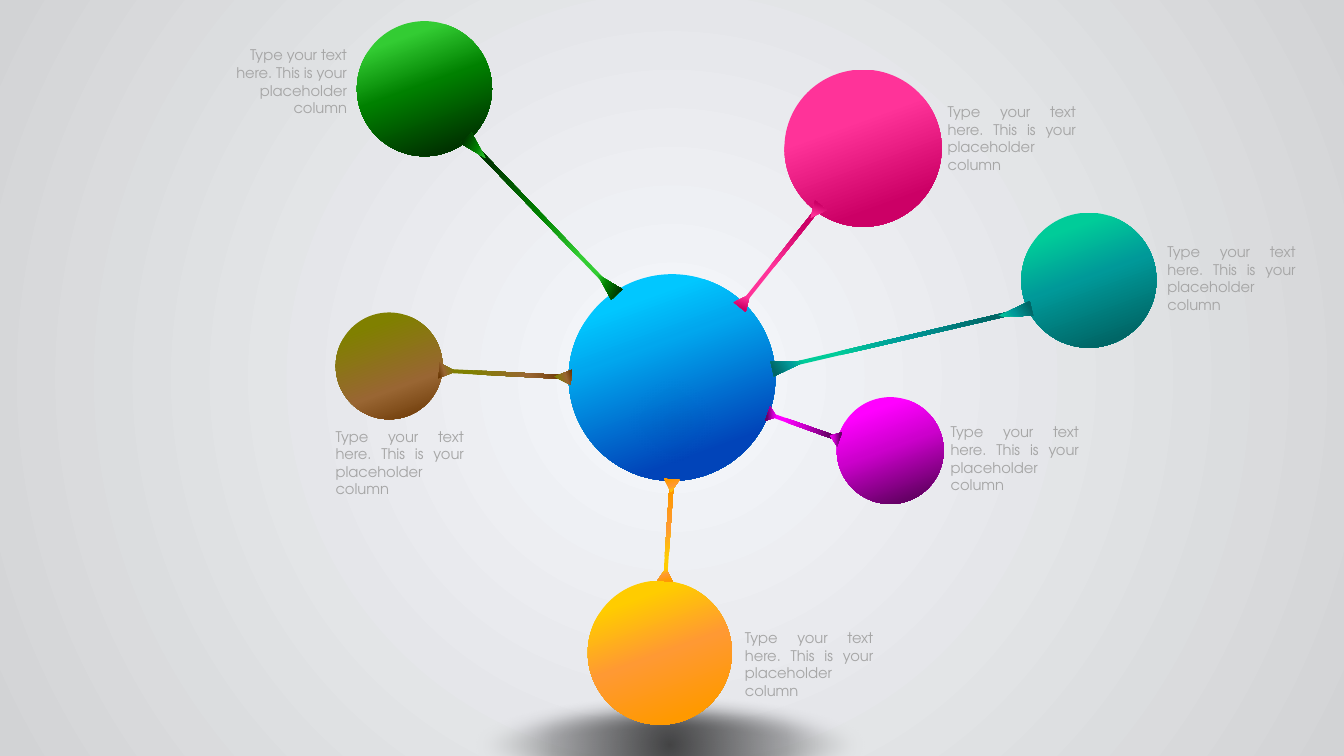
import math
import pptx
import pptx.util
import pptx.oxml
import pptx.oxml.ns
import pptx.dml.color
import pptx.enum.shapes
import pptx.enum.text
import lxml.etree

Inches = pptx.util.Inches
RGB = pptx.dml.color.RGBColor
SHAPE = pptx.enum.shapes.MSO_SHAPE
ALIGN = pptx.enum.text.PP_ALIGN
qn = pptx.oxml.ns.qn

BLACK, WHITE = RGB(0, 0, 0), RGB(255, 255, 255)
CAPTION_GREY = RGB(0xA6, 0xA6, 0xA6)
FONT = "TeX Gyre Adventor"
CAPTION = "Type your text here. This is your placeholder column"

# Gradient stops: position %, colour, opacity %
BACKDROP = [(0, RGB(0xF6, 0xF8, 0xFC), 100), (100, RGB(0xD2, 0xD3, 0xD5), 100)]
DEEP_SHADE = [(0, BLACK, 71), (52, BLACK, 29), (100, WHITE, 0)]
SOFT_SHADE = [(0, BLACK, 43), (52, BLACK, 16), (100, WHITE, 0)]
BLUE = [(18, RGB(0x01, 0xC7, 0xFF), 100), (36, RGB(0x01, 0xA7, 0xEE), 100),
        (81, RGB(0x01, 0x44, 0xB9), 100)]
PINK = [(18, RGB(0xFF, 0x33, 0x99), 100), (36, RGB(0xFF, 0x33, 0x99), 100),
        (81, RGB(0xCC, 0x00, 0x66), 100)]
TEAL = [(18, RGB(0x00, 0xCC, 0x99), 100), (48, RGB(0x00, 0x99, 0x99), 100),
        (88, RGB(0x00, 0x66, 0x66), 100)]
ORANGE = [(18, RGB(0xFF, 0xCC, 0x00), 100), (51, RGB(0xFF, 0x99, 0x33), 100),
          (87, RGB(0xFF, 0x99, 0x00), 100)]
GREEN = [(18, RGB(0x33, 0xCC, 0x33), 100), (48, RGB(0x00, 0x80, 0x00), 100),
         (88, RGB(0x00, 0x33, 0x00), 100)]
MAGENTA = [(18, RGB(0xFF, 0x00, 0xFF), 100), (48, RGB(0xCC, 0x00, 0xCC), 100),
           (88, RGB(0x66, 0x00, 0x66), 100)]
BROWN = [(18, RGB(0x80, 0x80, 0x00), 100), (67, RGB(0x99, 0x66, 0x33), 100),
         (100, RGB(0x66, 0x33, 0x00), 100)]

# Spheres: left, top, diameter, gradient, shade,
# highlights (left and top from the sphere's corner, width, height)
GLINT = [(0.13, -0.15, 0.76, 0.79)]
SPHERES = [
    (5.64, 2.72, 2.05, BLUE, DEEP_SHADE,
     [(0.26, -0.05, 0.87, 0.9), (0.63, -0.11, 0.87, 0.9)]),
    (7.78, 0.69, 1.56, PINK, SOFT_SHADE, []),
    (10.13, 2.11, 1.34, TEAL, None, []),
    (5.83, 5.76, 1.43, ORANGE, SOFT_SHADE, []),
    (3.54, 0.21, 1.34, GREEN, None, []),
    (8.3, 3.94, 1.06, MAGENTA, None, GLINT),
    (3.33, 3.1, 1.06, BROWN, None, GLINT),
]
# Links: centres of the start and end tips, tip height, gradient
LINKS = [
    ((7.39, 2.98), (8.09, 2.1), 0.17, PINK),
    ((7.66, 4.12), (8.28, 4.34), 0.1, MAGENTA),
    ((7.83, 3.62), (10.06, 3.1), 0.35, TEAL),
    ((6.6, 5.7), (6.66, 4.82), 0.13, ORANGE),
    ((4.44, 3.68), (5.58, 3.74), 0.17, BROWN),
    ((6.02, 2.82), (4.72, 1.47), 0.28, GREEN),
]
CAPTIONS = [
    (9.3, 0.97, ALIGN.JUSTIFY), (11.48, 2.36, ALIGN.JUSTIFY),
    (7.29, 6.19, ALIGN.JUSTIFY), (3.23, 4.19, ALIGN.JUSTIFY),
    (9.33, 4.15, ALIGN.JUSTIFY), (2.07, 0.41, ALIGN.RIGHT),
]


def set_gradient(fill, element, stops, angle=None):
    """Fill with the stops: linear at an angle, or circular without one."""
    fill.gradient()
    old = element.find(".//" + qn("a:gradFill"))
    gs = "".join(f'<a:gs pos="{pos * 1000}"><a:srgbClr val="{color}">'
                 f'<a:alpha val="{alpha * 1000}"/></a:srgbClr></a:gs>'
                 for pos, color, alpha in stops)
    if angle is None:
        course = ('<a:path path="circle"><a:fillToRect l="50000" t="50000" '
                  'r="50000" b="50000"/></a:path>')
    else:
        course = f'<a:lin ang="{angle * 60000}" scaled="0"/>'
    new = pptx.oxml.parse_xml(
        f'<a:gradFill {pptx.oxml.ns.nsdecls("a")} rotWithShape="1">'
        f'<a:gsLst>{gs}</a:gsLst>{course}</a:gradFill>')
    old.getparent().replace(old, new)


def add_plain(shapes, kind, x, y, w, h, soft=None):
    """Add a shape without line or shadow; soft is the soft edge in points."""
    sp = shapes.add_shape(kind, Inches(x), Inches(y), Inches(w), Inches(h))
    sp.line.fill.background()
    sp.shadow.inherit = False
    if soft:
        effects = sp._element.spPr.find(qn("a:effectLst"))
        edge = lxml.etree.SubElement(effects, qn("a:softEdge"))
        edge.set("rad", str(pptx.util.Pt(soft)))
    return sp


def add_shade(shapes, x, y, w, h, stops, soft):
    sp = add_plain(shapes, SHAPE.OVAL, x, y, w, h, soft)
    set_gradient(sp.fill, sp._element.spPr, stops)


def add_sphere(slide, x, y, d, stops, shade, highlights):
    shapes = slide.shapes.add_group_shape().shapes
    ball = add_plain(shapes, SHAPE.OVAL, x, y, d, d)
    set_gradient(ball.fill, ball._element.spPr, stops, 70)
    if shade:
        add_shade(shapes, x, y + 0.195 * d, d, 1.03 * d, shade, 50)
    for dx, dy, w, h in highlights:
        sp = add_plain(shapes, SHAPE.OVAL, x + dx, y + dy, w, h, 25)
        sp.fill.solid()
        sp.fill.fore_color.rgb = WHITE


def add_link(slide, start, end, tip, stops):
    """A thin bar from start to end, with a triangular tip at each."""
    shapes = slide.shapes.add_group_shape().shapes
    dx, dy = end[0] - start[0], end[1] - start[1]
    length = math.hypot(dx, dy)
    turn = math.degrees(math.atan2(dx, -dy))
    middle = (start[0] + 0.526 * dx, start[1] + 0.526 * dy)
    parts = [
        (SHAPE.RECTANGLE, middle, 0.04, 0.98 * length, turn + 180),
        (SHAPE.ISOSCELES_TRIANGLE, start, 0.15, tip, turn),
        (SHAPE.ISOSCELES_TRIANGLE, end, 0.15, tip, turn + 180),
    ]
    for kind, (cx, cy), w, h, rotation in parts:
        sp = add_plain(shapes, kind, cx - w / 2, cy - h / 2, w, h)
        sp.rotation = rotation % 360
        set_gradient(sp.fill, sp._element.spPr, stops, 70)


def add_caption(slide, x, y, align):
    tb = slide.shapes.add_textbox(Inches(x), Inches(y), Inches(1.47), Inches(0.81))
    tf = tb.text_frame
    tf.word_wrap = True
    tf.auto_size = pptx.enum.text.MSO_AUTO_SIZE.SHAPE_TO_FIT_TEXT
    p = tf.paragraphs[0]
    p.text = CAPTION
    p.alignment = align
    p.font.name = FONT
    p.font.size = pptx.util.Pt(10.5)
    p.font.color.rgb = CAPTION_GREY


def main():
    prs = pptx.Presentation()
    prs.slide_width, prs.slide_height = Inches(13.33), Inches(7.5)
    slide = prs.slides.add_slide(prs.slide_layouts[6])
    set_gradient(slide.background.fill, slide._element, BACKDROP)

    # Ground shadow below the orange sphere
    add_shade(slide.shapes, 4.48, 6.88, 4.32, 1.02, DEEP_SHADE, 12.5)
    for sphere in SPHERES:
        add_sphere(slide, *sphere)
    for link in LINKS:
        add_link(slide, *link)
    for caption in CAPTIONS:
        add_caption(slide, *caption)
    prs.save("out.pptx")


if __name__ == "__main__":
    main()
